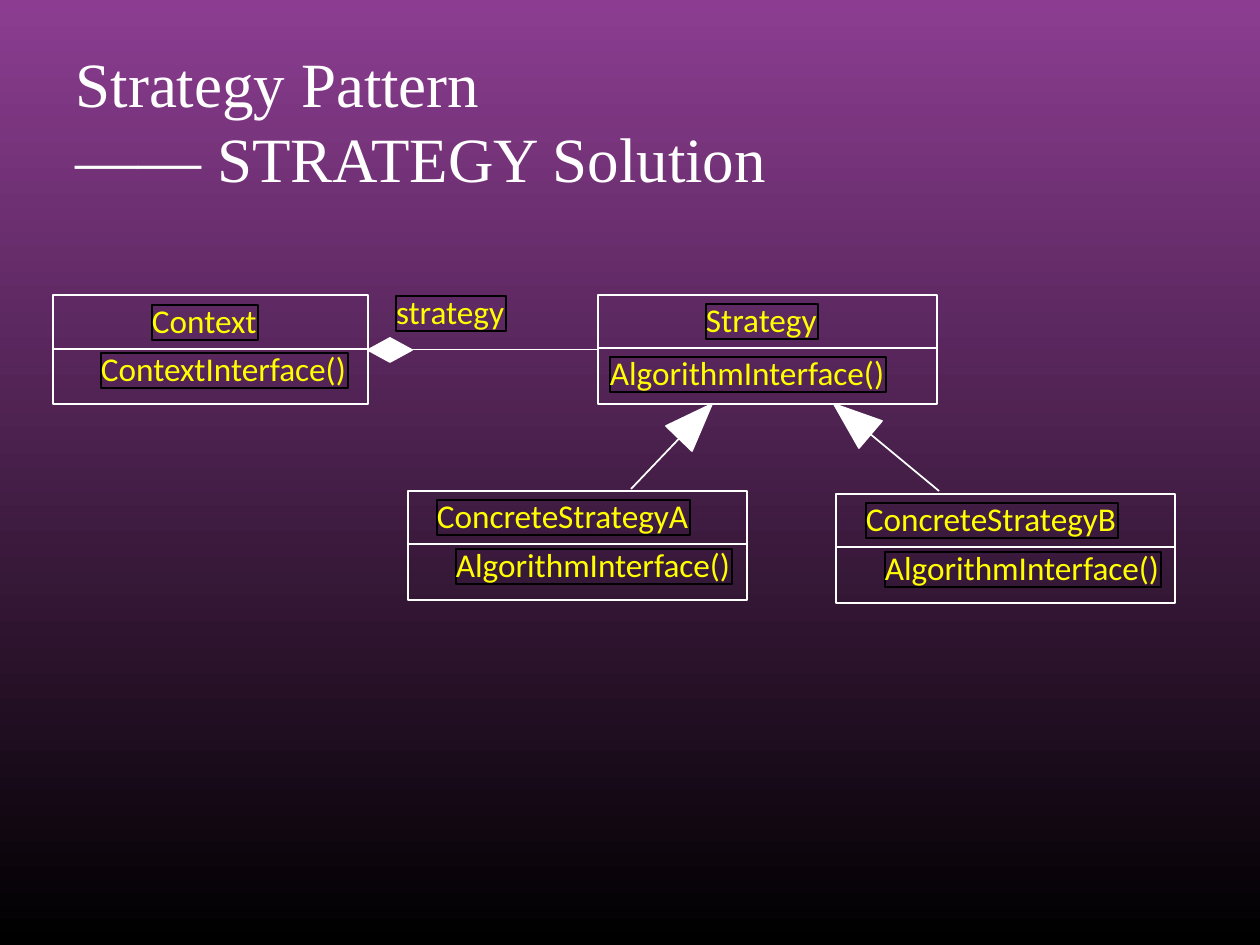
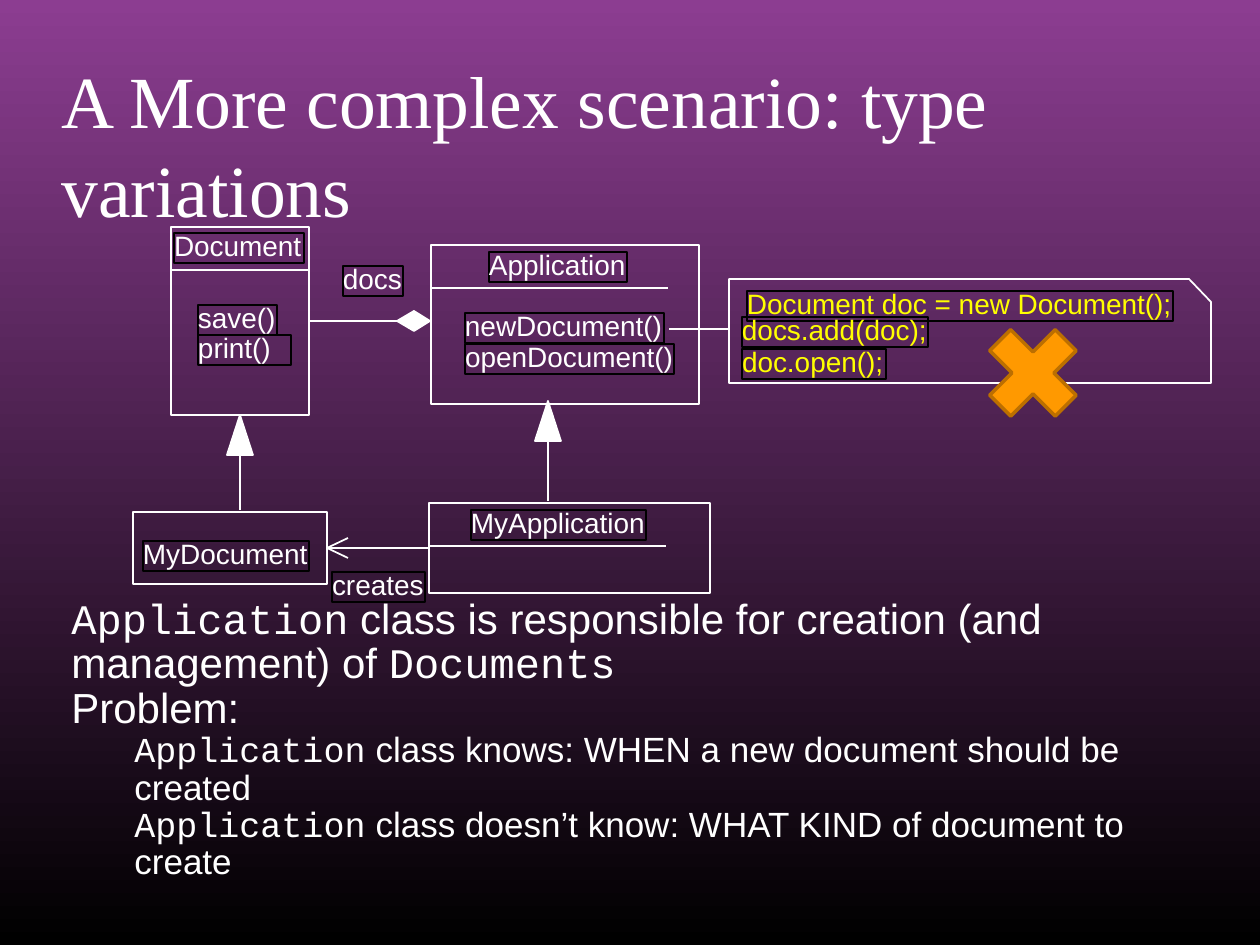
"""Build two slides of class diagrams on the Strategy pattern and on type variations."""
import math
from dataclasses import dataclass

from lxml import etree
from pptx import Presentation
from pptx import util as u
from pptx.dml.color import RGBColor
from pptx.enum import shapes, text
from pptx.oxml.ns import qn

PX = 914400 / 126


@dataclass(frozen=True)
class Theme:
    white: str = "FFFFFF"
    black: str = "000000"
    purple: str = "8C3D91"
    yellow: str = "FFFF00"
    orange: str = "FF9900"
    brown: str = "BC6F00"
    serif: str = "Times New Roman"
    sans: str = "Arial"
    label: str = "Calibri"
    code: str = "Courier New"
    text_spacing: float = 0.89
    body_sizes: tuple = (24, 20)
    line: float = 1
    label_line: float = 0.75
    cross_line: float = 2


THEME = Theme()

STRATEGY = {
    "title": (("Strategy Pattern", "—— STRATEGY Solution"), (63, 38, 1134, 157), 36),
    "label_style": (THEME.label, 19, THEME.yellow, 35),
    "classes": {
        "Context": ((53, 295, 315, 109), (315, 54)),
        "Strategy": ((598, 295, 339, 109), (339, 53)),
        "ConcreteStrategyA": ((408, 491, 339, 109), (339, 53)),
        "ConcreteStrategyB": ((836, 494, 339, 109), (339, 53)),
    },
    "relations": [
        (("Strategy", 1), ("Context", 3), ("diamond", 44, 12)),
        ((631, 489), (712, 404), ("triangle", 48, 18)),
        ((939, 491), (834, 404), ("triangle", 48, 18)),
    ],
    "labels": [
        ("Context", 152, 305, 106),
        ("ContextInterface()", 101, 353, 247),
        ("strategy", 396, 296, 110),
        ("Strategy", 706, 304, 112),
        ("AlgorithmInterface()", 610, 357, 276),
        ("ConcreteStrategyA", 437, 500, 253),
        ("AlgorithmInterface()", 456, 549, 276),
        ("ConcreteStrategyB", 866, 503, 252),
        ("AlgorithmInterface()", 885, 552, 276),
    ],
}

VARIATIONS = {
    "title": (("A More complex scenario: type variations",), (49, 49, 1140, 72), 42),
    "label_style": (THEME.sans, 16, THEME.white, 30),
    "classes": {
        "Application": ((431, 245, 268, 159), (237, 43)),
        "Document": ((171, 227, 138, 188), (138, 43)),
        "MyDocument": ((133, 512, 194, 72), None),
        "MyApplication": ((429, 503, 281, 90), (237, 43)),
    },
    "relations": [
        (("Document", 3), (430, 321), ("diamond", 33, 10)),
        ((240, 510), ("Document", 2), ("triangle", 40, 13)),
        ((548, 501), (548, 401), ("triangle", 40, 13)),
        (("MyApplication", 1), ("MyDocument", 3), ("open", 21, 10)),
        ((729, 329), (669, 329), None),
    ],
    "labels": [
        ("Application", 489, 252, 138),
        ("newDocument()", 465, 313, 199),
        ("openDocument()", 465, 344, 209),
        ("Document", 174, 233, 130),
        ("save()", 198, 305, 79),
        ("docs", 343, 266, 60),
        ("MyDocument", 143, 541, 166),
        ("MyApplication", 471, 510, 175),
        ("creates", 332, 572, 93),
    ],
}
PRINT_LABEL = ("print()", 198, 335, 93)
NOTE_CORNERS = [(729, 279), (1189, 279), (1211, 302), (1211, 383), (729, 383)]
NOTE_CODE = [
    ("Document doc = new Document();", 747, 291, 426),
    ("docs.add(doc);", 742, 317, 186),
    ("doc.open();", 742, 349, 144),
]
CROSS_BOX = (970, 310, 126, 126)
BODY_BOX = (59, 592, 1131, 297)
BODY = [
    (0, [("Application", THEME.code),
         (" class is responsible for creation (and management) of ", THEME.sans),
         ("Documents", THEME.code)]),
    (0, [("Problem:", THEME.sans)]),
    (1, [("Application", THEME.code),
         (" class knows: WHEN a new document should be created", THEME.sans)]),
    (1, [("Application", THEME.code),
         (" class doesn’t know: WHAT KIND of document to create", THEME.sans)]),
]


def emu(*lengths):
    return [u.Emu(round(length * PX)) for length in lengths]


def rgb(colour):
    return RGBColor.from_string(colour)


def style_font(font, name, size, colour):
    font.name, font.size = name, u.Pt(size)
    font.color.rgb = rgb(colour)


def style_line(shape, colour=THEME.white, width=THEME.line):
    shape.line.color.rgb = rgb(colour)
    shape.line.width = u.Pt(width)


def style_shape(shape, fill=None, line=THEME.white, width=THEME.line):
    shape.shadow.inherit = False
    if fill:
        shape.fill.solid()
        shape.fill.fore_color.rgb = rgb(fill)
    else:
        shape.fill.background()
    style_line(shape, line, width)


def add_box(slide, box, kind=shapes.MSO_SHAPE.RECTANGLE, **style):
    shape = slide.shapes.add_shape(kind, *emu(*box))
    style_shape(shape, **style)
    return shape


def add_outline(slide, points, fill=None, close=True):
    builder = slide.shapes.build_freeform(*points[0], scale=PX)
    builder.add_line_segments(points[1:], close=close)
    style_shape(builder.convert_to_shape(), fill)


def add_line(slide, start, end):
    connector = slide.shapes.add_connector(
        shapes.MSO_CONNECTOR.STRAIGHT, *emu(*start, *end))
    style_line(connector)
    etree.SubElement(connector._element.spPr, qn("a:effectLst"))
    return connector


def add_label(slide, label, style, wrap=False):
    words, left, top, width = label
    name, size, colour, height = style
    shape = add_box(slide, (left, top, width, height),
                    line=THEME.black, width=THEME.label_line)
    frame = shape.text_frame
    frame.margin_left = frame.margin_top = frame.margin_right = frame.margin_bottom = 0
    frame.vertical_anchor = text.MSO_ANCHOR.TOP
    frame.word_wrap = wrap
    frame.auto_size = text.MSO_AUTO_SIZE.SHAPE_TO_FIT_TEXT
    frame.text = words
    paragraph = frame.paragraphs[0]
    paragraph.alignment = text.PP_ALIGN.LEFT
    paragraph.line_spacing = THEME.text_spacing
    style_font(paragraph.font, name, size, colour)


def add_head(slide, start, tip, head):
    kind, length, half = head
    distance = math.dist(start, tip)
    dx, dy = ((a - b) / distance for a, b in zip(start, tip))

    def along(back, side):
        return tip[0] + back * dx - side * dy, tip[1] + back * dy + side * dx

    if kind == "open":
        add_outline(slide, [along(length, half), tip, along(length, -half)], close=False)
    elif kind == "triangle":
        add_outline(slide, [tip, along(length, half), along(length, -half)], THEME.white)
    else:
        add_outline(slide, [tip, along(length / 2, half), along(length, 0),
                            along(length / 2, -half)], THEME.white)


def side_middle(box, site):
    left, top, width, height = box
    return [(left + width / 2, top), (left, top + height / 2),
            (left + width / 2, top + height), (left + width, top + height / 2)][site]


def add_relation(slide, relation, classes, boxes):
    *ends, head = relation
    joined = [end[0] in classes for end in ends]
    start, tip = [side_middle(classes[end[0]][0], end[1]) if join else end
                  for end, join in zip(ends, joined)]
    connector = add_line(slide, start, tip)
    for end, join, connect in zip(ends, joined,
                                  (connector.begin_connect, connector.end_connect)):
        if join:
            connect(boxes[end[0]], end[1])
    if head:
        add_head(slide, start, tip, head)


def add_title(slide, lines, box, size):
    title = slide.shapes.title
    title.left, title.top, title.width, title.height = emu(*box)
    frame = title.text_frame
    frame.text = "\v".join(lines)
    frame.word_wrap = True
    frame.auto_size = text.MSO_AUTO_SIZE.NONE
    frame.vertical_anchor = text.MSO_ANCHOR.TOP
    paragraph = frame.paragraphs[0]
    paragraph.alignment = text.PP_ALIGN.LEFT
    style_font(paragraph.font, THEME.serif, size, THEME.white)


def add_diagram_slide(presentation, content):
    slide = presentation.slides.add_slide(presentation.slide_layouts[5])
    add_title(slide, *content["title"])
    classes, boxes = content["classes"], {}
    for name, (box, divider) in classes.items():
        boxes[name] = add_box(slide, box)
        if divider:
            width, drop = divider
            left, y = box[0], box[1] + drop
            add_line(slide, (left, y), (left + width, y))
    for relation in content["relations"]:
        add_relation(slide, relation, classes, boxes)
    for label in content["labels"]:
        add_label(slide, label, content["label_style"])
    return slide


def add_body(slide):
    frame = slide.shapes.add_textbox(*emu(*BODY_BOX)).text_frame
    frame.word_wrap = True
    for index, (level, runs) in enumerate(BODY):
        paragraph = frame.add_paragraph() if index else frame.paragraphs[0]
        paragraph.level = level
        paragraph.line_spacing = THEME.text_spacing
        for words, name in runs:
            run = paragraph.add_run()
            run.text = words
            style_font(run.font, name, THEME.body_sizes[level], THEME.white)


def add_note(slide):
    add_outline(slide, NOTE_CORNERS)
    name, size, _, height = VARIATIONS["label_style"]
    for label in NOTE_CODE:
        add_label(slide, label, (name, size, THEME.yellow, height))
    add_box(slide, CROSS_BOX, shapes.MSO_SHAPE.MATH_MULTIPLY,
            fill=THEME.orange, line=THEME.brown, width=THEME.cross_line)


def set_background(presentation):
    fill = presentation.slide_master.background.fill
    fill.gradient()
    fill.gradient_angle = 90
    for stop, position, colour in zip(fill.gradient_stops, (0, 1),
                                      (THEME.black, THEME.purple)):
        stop.position = position
        stop.color.rgb = rgb(colour)


def main():
    presentation = Presentation()
    presentation.slide_width, presentation.slide_height = emu(1260, 945)
    set_background(presentation)
    add_diagram_slide(presentation, STRATEGY)
    slide = add_diagram_slide(presentation, VARIATIONS)
    add_label(slide, PRINT_LABEL, VARIATIONS["label_style"], wrap=True)
    add_body(slide)
    add_note(slide)
    presentation.save("out.pptx")


if __name__ == "__main__":
    main()
